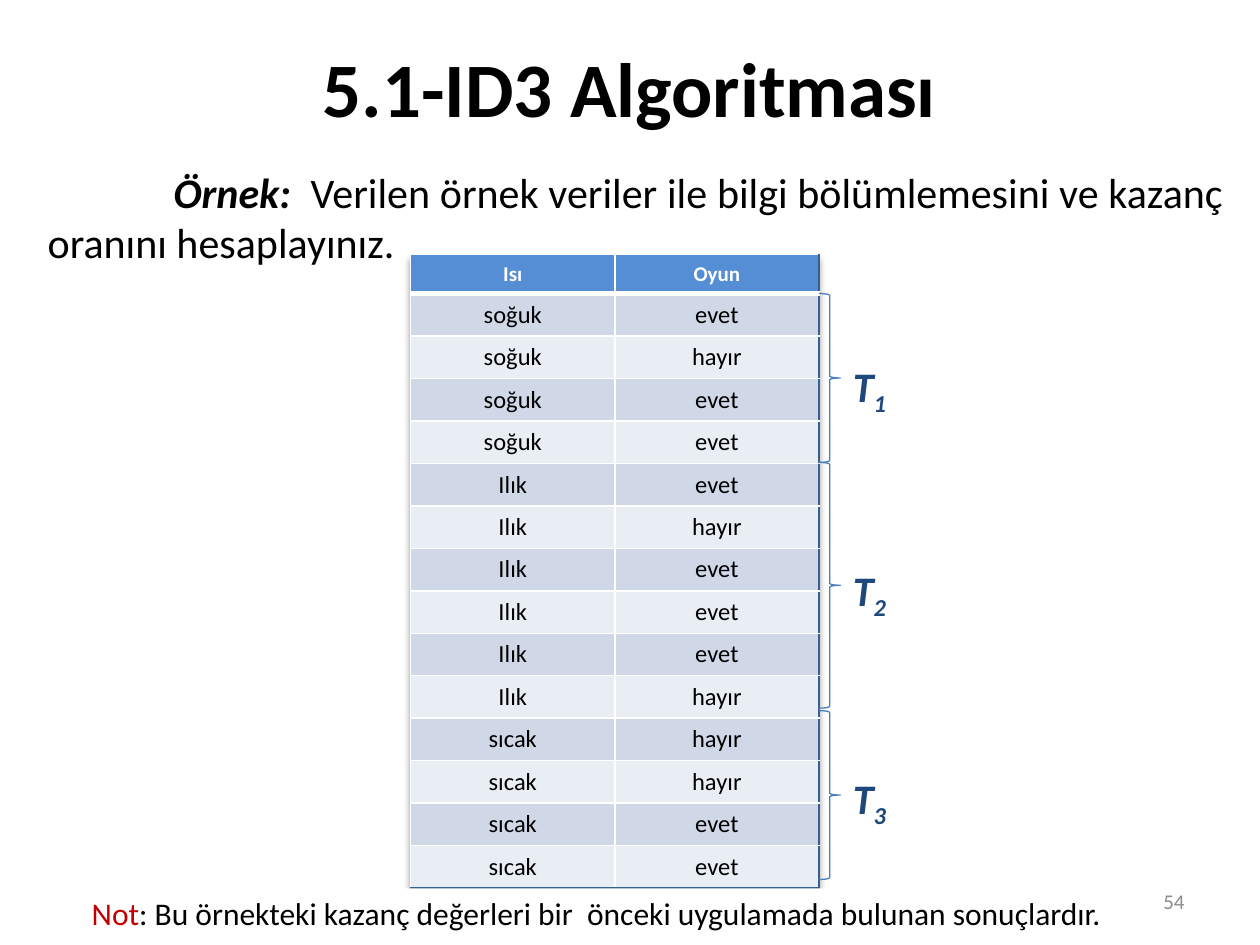
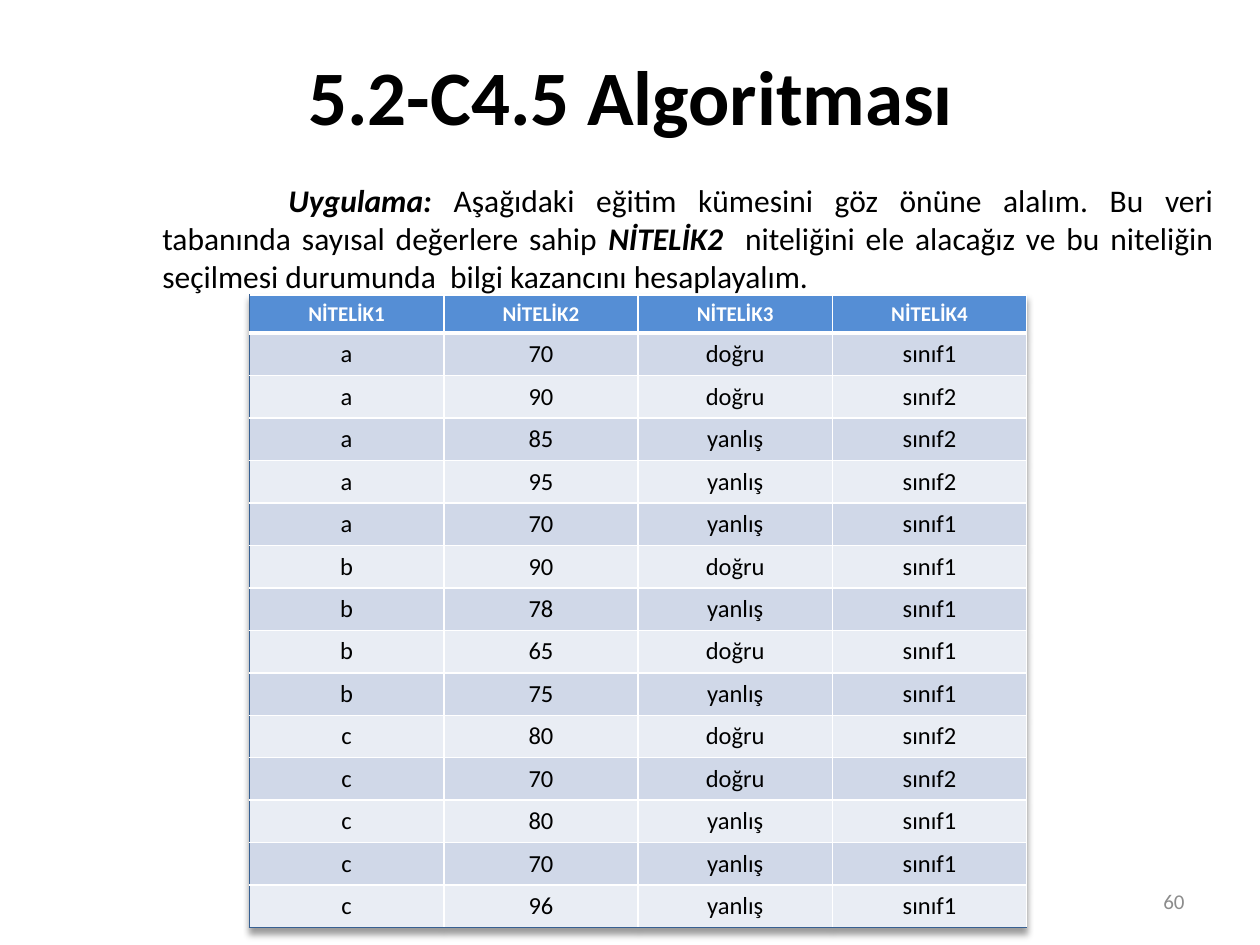
from dataclasses import dataclass

from lxml import etree
from pptx import Presentation
from pptx.dml.color import RGBColor
from pptx.enum.shapes import MSO_SHAPE as Preset
from pptx.enum.text import MSO_ANCHOR as Anchor, MSO_AUTO_SIZE as AutoSize, PP_ALIGN as Align
from pptx.oxml import parse_xml
from pptx.oxml.ns import nsdecls, qn
from pptx.util import Inches, Pt

# Shared look
FONT = "Calibri"
BLACK, WHITE, GREY, RED = "000000", "FFFFFF", "8C8C8C", "C00000"
HEADER, BAND_DARK, BAND_LIGHT = "558ED5", "D0D8E8", "E9EDF4"
EDGE, BRACE, LABEL = "376092", "4B7EBC", "1F497D"


@dataclass
class Box:
    left: float
    top: float
    width: float
    height: float

    def lengths(self) -> tuple:
        return tuple(Inches(n) for n in (self.left, self.top, self.width, self.height))


@dataclass
class Run:
    text: str
    size: float
    color: str = BLACK
    bold: bool = False
    italic: bool = False
    subscript: bool = False


@dataclass
class DataTable:
    box: Box
    row_heights: list[float]
    rows: list[list[str]]
    edge_side: str  # outer side with the dark line: "L" or "R"


@dataclass
class Group:
    number: int
    brace_top: float
    brace_height: float
    label_top: float


def rgb(color: str) -> RGBColor:
    return RGBColor.from_string(color)


def add_runs(paragraph, runs: list[Run], align=Align.LEFT) -> None:
    paragraph.alignment = align
    for item in runs:
        run = paragraph.add_run()
        run.text = item.text
        font = run.font
        font.name, font.size = FONT, Pt(item.size)
        font.bold, font.italic = item.bold, item.italic
        font.color.rgb = rgb(item.color)
        if item.subscript:
            run._r.get_or_add_rPr().set("baseline", "-25000")


def add_text(slide, box: Box, runs: list[Run], align=Align.LEFT, anchor=Anchor.TOP, wrap=True):
    shape = slide.shapes.add_textbox(*box.lengths())
    frame = shape.text_frame
    frame.word_wrap = wrap
    frame.auto_size = AutoSize.NONE if wrap else AutoSize.SHAPE_TO_FIT_TEXT
    frame.vertical_anchor = anchor
    add_runs(frame.paragraphs[0], runs, align)
    return shape


def add_body(slide, box: Box, runs: list[Run], top_inset: float, left_indent: float = 0) -> None:
    """Justified text whose first line starts one inch further in."""
    frame = add_text(slide, box, runs, Align.JUSTIFY).text_frame
    frame.margin_top = Inches(top_inset)
    properties = frame.paragraphs[0]._p.get_or_add_pPr()
    properties.set("marL", str(Inches(left_indent)))
    properties.set("indent", str(Inches(1)))


def start_slide(presentation, title: str, title_box: Box, number: str):
    slide = presentation.slides.add_slide(presentation.slide_layouts[5])
    shape = slide.shapes.title
    shape.left, shape.top, shape.width, shape.height = title_box.lengths()
    shape.text_frame.vertical_anchor = Anchor.MIDDLE
    add_runs(shape.text_frame.paragraphs[0], [Run(title, 44, bold=True)], Align.CENTER)
    add_text(slide, Box(7.17, 6.95, 2.33, 0.4), [Run(number, 12, GREY)], Align.RIGHT, Anchor.MIDDLE)
    return slide


def set_border(cell, side: str, color: str, width: float) -> None:
    line = etree.SubElement(cell._tc.get_or_add_tcPr(), qn(f"a:ln{side}"), w=str(Pt(width)))
    fill = etree.SubElement(line, qn("a:solidFill"))
    etree.SubElement(fill, qn("a:srgbClr"), val=color)


def add_data_table(slide, data: DataTable) -> None:
    last_row, last_column = len(data.rows) - 1, len(data.rows[0]) - 1
    table = slide.shapes.add_table(last_row + 1, last_column + 1, *data.box.lengths()).table
    table.horz_banding = False
    table._tbl.tblPr.insert(0, parse_xml(
        f'<a:effectLst {nsdecls("a")}><a:outerShdw blurRad="50800" dist="38100" dir="5400000">'
        '<a:srgbClr val="000000"><a:alpha val="40000"/></a:srgbClr></a:outerShdw></a:effectLst>'))
    edge_column = 0 if data.edge_side == "L" else last_column

    for row, values in enumerate(data.rows):
        table.rows[row].height = Inches(data.row_heights[row])
        is_header = row == 0
        for column, value in enumerate(values):
            cell = table.cell(row, column)
            for side in "LRTB":
                on_edge = (side == data.edge_side and column == edge_column
                           or side == "B" and row == last_row)
                width = 3 if is_header and side == "B" else 1
                set_border(cell, side, EDGE if on_edge else WHITE, width)
            cell.fill.solid()
            band = BAND_DARK if row % 2 else BAND_LIGHT
            cell.fill.fore_color.rgb = rgb(HEADER if is_header else band)
            cell.vertical_anchor = Anchor.MIDDLE if is_header else Anchor.TOP
            run = Run(value, 12, WHITE, bold=True) if is_header else Run(value, 14)
            add_runs(cell.text_frame.paragraphs[0], [run], Align.CENTER)


def add_group(slide, group: Group) -> None:
    box = Box(6.5, group.brace_top, 0.17, group.brace_height)
    brace = slide.shapes.add_shape(Preset.RIGHT_BRACE, *box.lengths())
    brace.shadow.inherit = False
    brace.fill.background()
    brace.line.color.rgb = rgb(BRACE)
    brace.line.width = Pt(0.75)
    add_text(slide, Box(6.67, group.label_top, 0.48, 0.5),
             [Run("T", 24, LABEL, True, True),
              Run(str(group.number), 24, LABEL, True, True, subscript=True)], wrap=False)


def build_id3_slide(presentation) -> None:
    slide = start_slide(presentation, "5.1-ID3 Algoritması", Box(0.5, 0.06, 9, 1.25), "54")
    add_body(slide, Box(0.28, 1.15, 9.53, 3.97), [
        Run("Örnek:  ", 24, bold=True, italic=True),
        Run("Verilen örnek veriler ile bilgi bölümlemesini ve kazanç oranını hesaplayınız.", 24),
    ], top_inset=0.17)

    # Temperature and game table
    games = {
        "soğuk": "evet hayır evet evet",
        "Ilık": "evet hayır evet evet evet hayır",
        "sıcak": "hayır hayır evet evet",
    }
    rows = [["Isı", "Oyun"]]
    rows += [[heat, game] for heat, answers in games.items() for game in answers.split()]
    add_data_table(slide, DataTable(Box(3.26, 2.02, 3.24, 4.97), [0.31] + [0.3] * 14, rows, "R"))

    # Braces marking the subsets
    for group in (Group(1, 2.33, 1.34, 2.81), Group(2, 3.67, 1.95, 4.43), Group(3, 5.64, 1.34, 6.08)):
        add_group(slide, group)

    # Note under the table
    note = add_text(slide, Box(0.63, 7.05, 8.27, 0.4), [
        Run("Not", 18, RED),
        Run(": Bu örnekteki kazanç değerleri bir  önceki uygulamada bulunan sonuçlardır.", 18),
    ], wrap=False)
    note.fill.solid()
    note.fill.fore_color.rgb = rgb(WHITE)


def build_c45_slide(presentation) -> None:
    slide = start_slide(presentation, "5.2-C4.5 Algoritması", Box(0.51, 0.13, 9, 1.25), "60")
    add_body(slide, Box(0.75, 1.23, 8.98, 5.43), [
        Run("Uygulama: ", 18, bold=True, italic=True),
        Run("Aşağıdaki eğitim kümesini göz önüne alalım. Bu veri tabanında sayısal "
            "değerlere sahip ", 18),
        Run("NİTELİK2  ", 18, bold=True, italic=True),
        Run("niteliğini ele alacağız ve bu niteliğin seçilmesi durumunda  bilgi kazancını "
            "hesaplayalım.", 18),
    ], top_inset=0.21, left_indent=0.44)

    # Training set
    training_set = """\
a 70 doğru sınıf1
a 90 doğru sınıf2
a 85 yanlış sınıf2
a 95 yanlış sınıf2
a 70 yanlış sınıf1
b 90 doğru sınıf1
b 78 yanlış sınıf1
b 65 doğru sınıf1
b 75 yanlış sınıf1
c 80 doğru sınıf2
c 70 doğru sınıf2
c 80 yanlış sınıf1
c 70 yanlış sınıf1
c 96 yanlış sınıf1"""
    rows = [[f"NİTELİK{number}" for number in range(1, 5)]]
    rows += [line.split() for line in training_set.splitlines()]
    heights = [0.26, 0.24] + [0.29] * 13
    add_data_table(slide, DataTable(Box(1.98, 2.34, 6.17, 4.97), heights, rows, "L"))


def main() -> None:
    presentation = Presentation()
    presentation.slide_width, presentation.slide_height = Inches(10), Inches(7.5)
    build_id3_slide(presentation)
    build_c45_slide(presentation)
    presentation.save("out.pptx")


if __name__ == "__main__":
    main()
